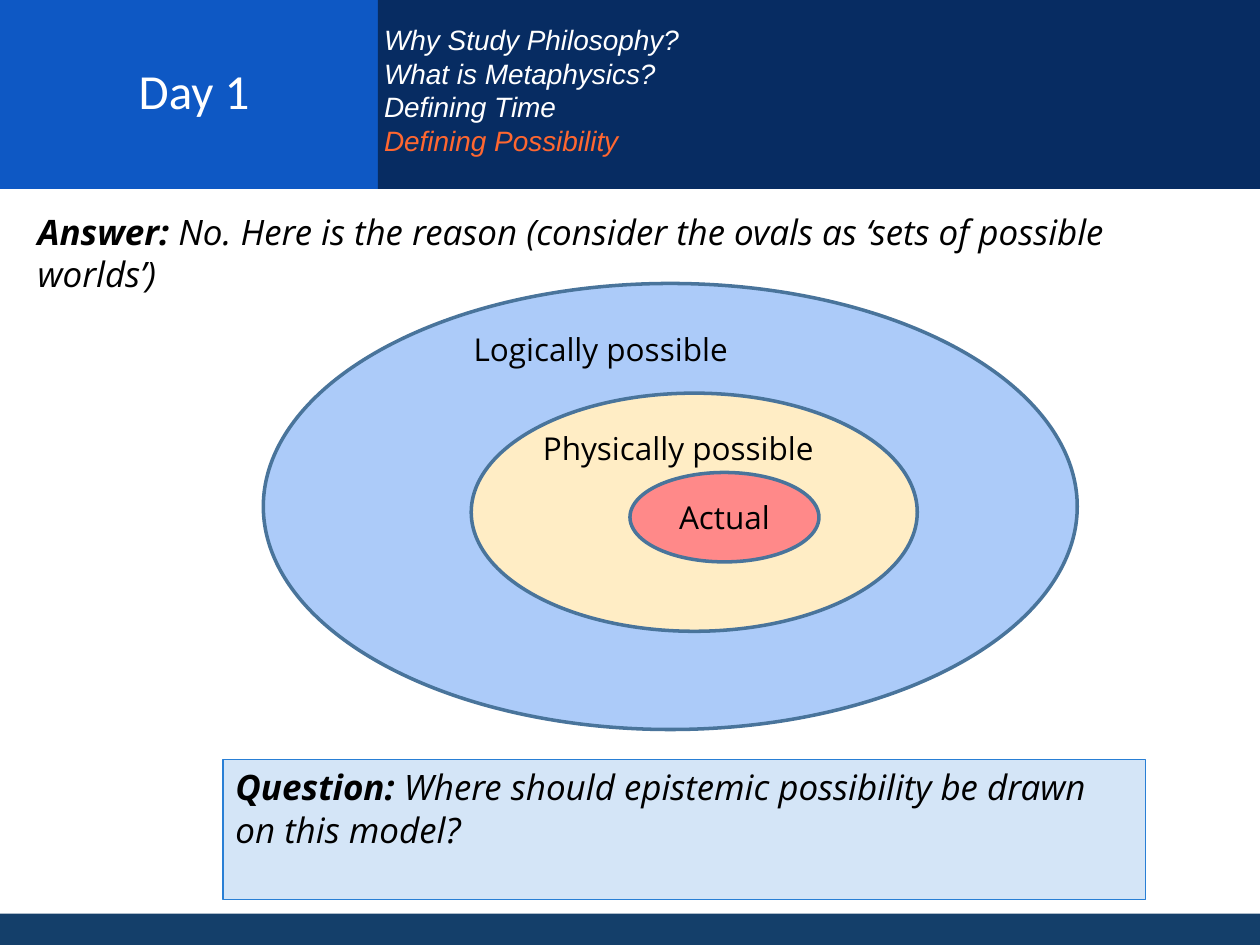
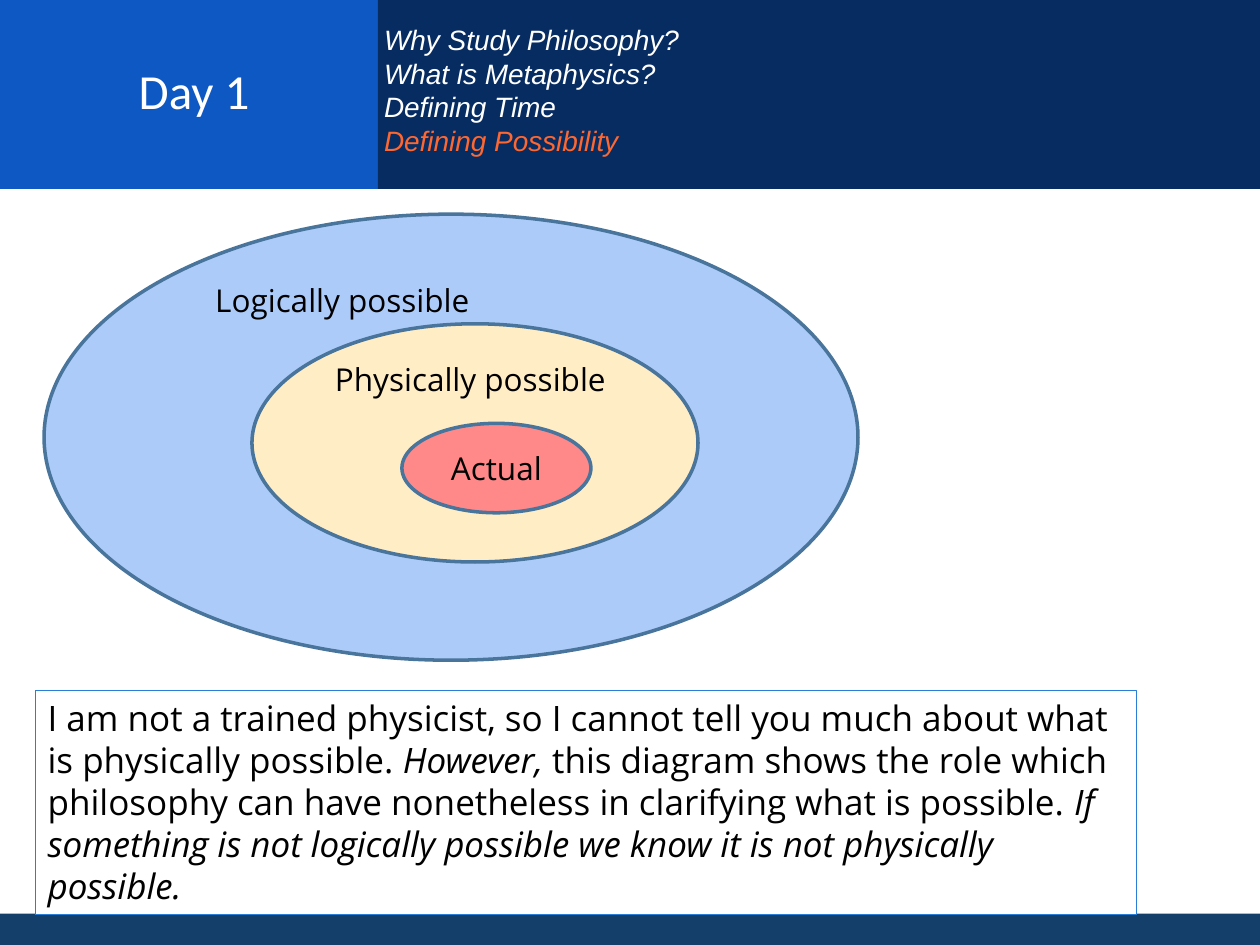
from dataclasses import dataclass

from pptx import Presentation
from pptx.dml.color import RGBColor
from pptx.enum.shapes import MSO_SHAPE as Shape
from pptx.enum.text import MSO_ANCHOR as Anchor, PP_ALIGN as Align
from pptx.util import Inches, Pt


@dataclass(frozen=True)
class Theme:
    """Colours, fonts and type sizes of the deck."""
    title_band: str = "0E58C4"
    agenda_band: str = "072C62"
    footer_band: str = "143F6A"
    white: str = "FFFFFF"
    ink: str = "000000"
    current_topic: str = "FF6730"
    question: str = "D4E5F7"
    box_line: str = "297FD5"
    oval_line: str = "49749B"
    logical: str = "ACCBF9"
    physical: str = "FFEDC5"
    actual: str = "FF8989"
    title_font: str = "Calibri"
    agenda_font: str = "Arial"
    body_font: str = "Open Sans"
    title_size: int = 28
    agenda_size: int = 16
    body_size: int = 20
    label_size: int = 18


AGENDA = ["Why Study Philosophy?", "What is Metaphysics?", "Defining Time", "Defining Possibility"]


class Deck:
    """Holds the theme and the current slide, and draws each kind of element."""

    def __init__(self, theme):
        """Start an empty deck of 10 by 7.5 inches."""
        self.theme = theme
        self.slide = None
        self.presentation = Presentation()
        self.presentation.slide_width = Inches(10)
        self.presentation.slide_height = Inches(7.5)

    def style(self, run, font, size, colour, bold=False, italic=False):
        """Format one run."""
        run.font.name = font
        run.font.size = Pt(size)
        run.font.color.rgb = RGBColor.from_string(colour)
        run.font.bold = bold
        run.font.italic = italic

    def shape(self, kind, place, fill, line=None, width=0.75):
        """Draw a filled shape, outlined when a line colour is given."""
        shape = self.slide.shapes.add_shape(kind, *map(Inches, place))
        shape.shadow.inherit = False
        shape.fill.solid()
        shape.fill.fore_color.rgb = RGBColor.from_string(fill)
        if line:
            shape.line.color.rgb = RGBColor.from_string(line)
            shape.line.width = Pt(width)
        else:
            shape.line.fill.background()
        return shape

    def text(self, place, wrap=True):
        """Add an empty text box and return its frame."""
        frame = self.slide.shapes.add_textbox(*map(Inches, place)).text_frame
        frame.word_wrap = wrap
        return frame

    def passage(self, frame, pieces):
        """Write body text from pairs of words and emphasis letters."""
        frame.vertical_anchor = Anchor.TOP
        paragraph = frame.paragraphs[0]
        paragraph.alignment = Align.LEFT
        for words, emphasis in pieces:
            run = paragraph.add_run()
            run.text = words
            self.style(run, self.theme.body_font, self.theme.body_size, self.theme.ink,
                       bold="b" in emphasis, italic="i" in emphasis)

    def box(self, place, fill, pieces):
        """Draw an outlined box with a passage."""
        panel = self.shape(Shape.RECTANGLE, place, fill, self.theme.box_line)
        self.passage(panel.text_frame, pieces)

    def label(self, frame, words):
        """Write a diagram label."""
        frame.text = words
        self.style(frame.paragraphs[0].runs[0], self.theme.body_font,
                   self.theme.label_size, self.theme.ink)

    def oval(self, place, fill):
        """Draw one set of possible worlds."""
        return self.shape(Shape.OVAL, place, fill, self.theme.oval_line, 2)

    def new_slide(self):
        """Start a slide with its bands, title and agenda."""
        theme = self.theme
        self.slide = self.presentation.slides.add_slide(self.presentation.slide_layouts[6])
        self.shape(Shape.RECTANGLE, (0, 7.25, 10, 0.25), theme.footer_band)
        self.shape(Shape.RECTANGLE, (0, 0, 3, 1.5), theme.title_band)
        self.shape(Shape.RECTANGLE, (3, 0, 7, 1.5), theme.agenda_band)

        title = self.text((0.2, -0.11, 2.68, 1.65))
        title.text = "Day 1"
        title.vertical_anchor = Anchor.MIDDLE
        title.paragraphs[0].alignment = Align.CENTER
        self.style(title.paragraphs[0].runs[0], theme.title_font, theme.title_size, theme.white)

        agenda = self.text((2.95, 0.13, 3.92, 1.45))
        agenda.text = "\n".join(AGENDA)
        for topic, paragraph in zip(AGENDA, agenda.paragraphs):
            colour = theme.current_topic if topic == AGENDA[-1] else theme.white
            self.style(paragraph.runs[0], theme.agenda_font, theme.agenda_size, colour, italic=True)

    def worlds(self, left, top, actual, logical_label, physical_label):
        """Draw the nested ovals, with the inner parts placed from the outer corner."""
        def inside(offset, width, height):
            return left + offset[0], top + offset[1], width, height

        self.oval(inside((0, 0), 6.46, 3.54), self.theme.logical)
        self.oval(inside((1.65, 0.87), 3.54, 1.89), self.theme.physical)
        core = self.oval(inside(actual, 1.5, 0.71), self.theme.actual).text_frame
        self.label(core, "Actual")
        core.vertical_anchor = Anchor.MIDDLE
        core.paragraphs[0].alignment = Align.CENTER
        self.label(self.text(inside(logical_label, 2.41, 0.4), wrap=False), "Logically possible")
        self.label(self.text(inside(physical_label, 2.55, 0.4), wrap=False), "Physically possible")


def main():
    """Build both slides and save the deck."""
    theme = Theme()
    deck = Deck(theme)

    deck.new_slide()
    deck.passage(deck.text((0.2, 1.62, 9.06, 1.08)), [
        ("Answer:", "bi"),
        (" No. Here is the reason (consider the ovals as ‘sets of possible worlds’)", "i"),
    ])
    deck.box((1.77, 6.03, 7.32, 1.11), theme.question, [
        ("Question:", "bi"),
        (" Where should epistemic possibility be drawn on this model?", "i"),
    ])
    deck.worlds(2.09, 2.25, actual=(2.91, 1.5),
                logical_label=(1.57, 0.32), physical_label=(2.12, 1.11))

    deck.new_slide()
    deck.box((0.28, 5.48, 8.74, 1.78), theme.white, [
        ("I am not a trained physicist, so I cannot tell you much about what is "
         "physically possible. ", ""),
        ("However,", "i"),
        (" this diagram shows the role which philosophy can have nonetheless in "
         "clarifying what is possible. ", ""),
        ("If something is not logically possible we know it is not physically possible.", "i"),
    ])
    deck.worlds(0.35, 1.7, actual=(2.84, 1.66),
                logical_label=(1.26, 0.48), physical_label=(2.21, 1.11))

    deck.presentation.save("out.pptx")


main()
